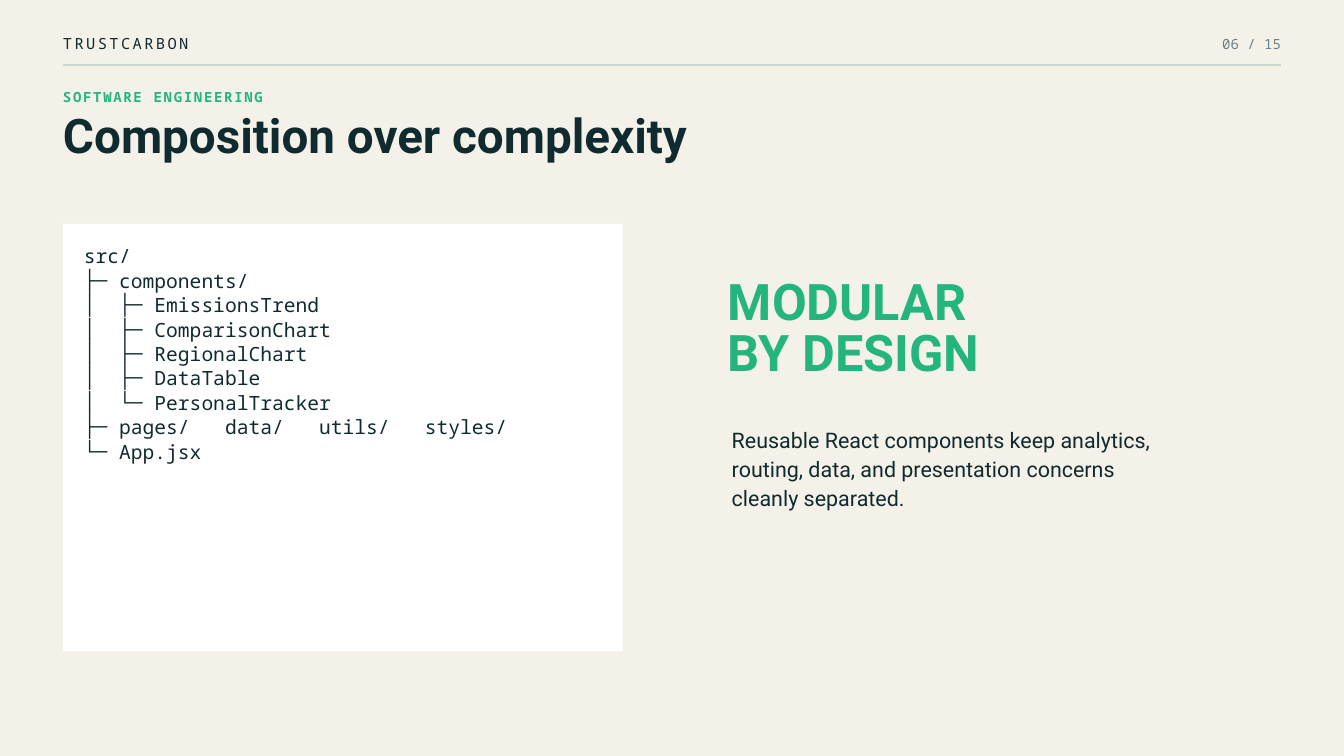
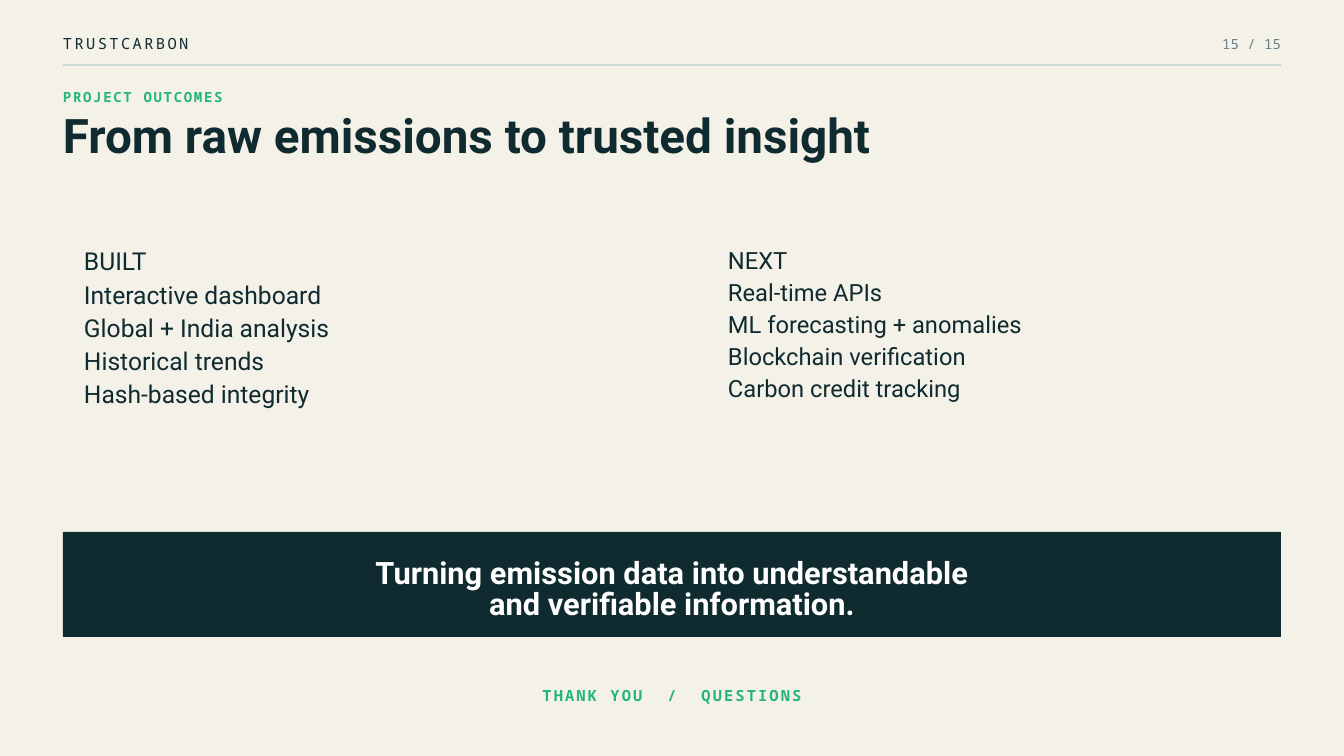
import pptx
import pptx.dml.color
import pptx.enum.shapes
import pptx.enum.text
import pptx.oxml.ns
import pptx.util
from lxml import etree

Pt = pptx.util.Pt
ALIGN = pptx.enum.text.PP_ALIGN

INK = "102B30"
GREEN = "24B47E"
GREY = "688087"
RULE = "CBD7D2"
PAPER = "F4F1E8"
WHITE = "FFFFFF"
SANS = "Roboto"
MONO = "Noto Sans Mono"

MARGIN = 67.5
CONTENT_WIDTH = 1305
LEFT_COLUMN = 90
RIGHT_COLUMN = 780
PAGE_COUNT = 15

SOURCE_TREE = [
    "src/",
    "├─ components/",
    "│  ├─ EmissionsTrend",
    "│  ├─ ComparisonChart",
    "│  ├─ RegionalChart",
    "│  ├─ DataTable",
    "│  └─ PersonalTracker",
    "├─ pages/   data/   utils/   styles/",
    "└─ App.jsx",
]
BUILT = [
    "BUILT",
    "Interactive dashboard",
    "Global + India analysis",
    "Historical trends",
    "Hash-based integrity",
]
NEXT = [
    "NEXT",
    "Real-time APIs",
    "ML forecasting + anomalies",
    "Blockchain verification",
    "Carbon credit tracking",
]


def color(value):
    return pptx.dml.color.RGBColor.from_string(value)


def write_text(box, lines, size, leading, font=SANS, ink=INK, bold=False,
               align=ALIGN.LEFT, tracking=0):
    frame = box.text_frame
    frame.word_wrap = True
    frame.auto_size = pptx.enum.text.MSO_AUTO_SIZE.NONE
    frame.vertical_anchor = pptx.enum.text.MSO_ANCHOR.TOP
    frame.margin_left = frame.margin_right = 0
    frame.margin_top = frame.margin_bottom = 0
    for index, line in enumerate(lines):
        para = frame.add_paragraph() if index else frame.paragraphs[0]
        para.alignment = align
        para.line_spacing = Pt(leading)
        para.space_before = Pt(0)
        pieces = [(line, tracking)] if isinstance(line, str) else line
        for text, spacing in pieces:
            span = para.add_run()
            span.text = text
            span.font.name = font
            span.font.size = Pt(size)
            span.font.bold = bold
            span.font.color.rgb = color(ink)
            if spacing:
                span.font._element.set("spc", str(round(spacing * 100)))


def add_text(page, left, top, width, height, lines, **style):
    box = page.shapes.add_textbox(Pt(left), Pt(top), Pt(width), Pt(height))
    write_text(box, lines, **style)


def add_panel(page, left, top, width, height, fill):
    panel = page.shapes.add_shape(
        pptx.enum.shapes.MSO_SHAPE.RECTANGLE,
        Pt(left), Pt(top), Pt(width), Pt(height))
    panel.shadow.inherit = False
    panel.fill.solid()
    panel.fill.fore_color.rgb = color(fill)
    panel.line.fill.background()


def add_rule(page, top):
    rule = page.shapes.add_connector(
        pptx.enum.shapes.MSO_CONNECTOR.STRAIGHT,
        Pt(MARGIN), Pt(top), Pt(MARGIN + CONTENT_WIDTH), Pt(top))
    rule.line.color.rgb = color(RULE)
    rule.line.width = Pt(1.5)
    etree.SubElement(rule._element.spPr, pptx.oxml.ns.qn("a:effectLst"))


def add_page(deck, number, section, heading):
    page = deck.slides.add_slide(deck.slide_layouts[5])
    add_text(page, MARGIN, 35.5, 225, 20.5, ["TRUSTCARBON"],
             size=16.5, leading=20.6, font=MONO, tracking=2.6)
    add_text(page, MARGIN + CONTENT_WIDTH - 135, 37.5, 135, 18.5,
             [f"{number:02} / {PAGE_COUNT}"],
             size=15, leading=18.8, font=MONO, ink=GREY, align=ALIGN.RIGHT)
    add_rule(page, 69.75)
    add_text(page, MARGIN, 94.5, 487.5, 18.5, [section],
             size=15, leading=18.8, font=MONO, ink=GREEN, bold=True, tracking=1.8)
    title = page.shapes.title
    title.left, title.top = Pt(MARGIN), Pt(123)
    title.width, title.height = Pt(1125), Pt(62.5)
    write_text(title, [heading], size=51, leading=52, bold=True)
    return page


def build_composition(deck):
    page = add_page(deck, 6, "SOFTWARE ENGINEERING", "Composition over complexity")
    add_panel(page, MARGIN, 240, 600, 457.5, WHITE)
    add_text(page, LEFT_COLUMN, 260.5, 540, 237, SOURCE_TREE,
             size=21, leading=26.2, font=MONO)
    add_text(page, RIGHT_COLUMN, 299, 487.5, 121, ["MODULAR", "BY DESIGN"],
             size=54, leading=55.1, ink=GREEN, bold=True)
    add_text(page, RIGHT_COLUMN + 4, 454.5, 487.5, 91.5,
             ["Reusable React components keep analytics, routing, data, "
              "and presentation concerns cleanly separated."],
             size=23, leading=31.1)


def build_outcomes(deck):
    page = add_page(deck, 15, "PROJECT OUTCOMES", "From raw emissions to trusted insight")
    add_text(page, LEFT_COLUMN, 260, 612, 173, BUILT, size=26.4, leading=35.6)
    add_text(page, RIGHT_COLUMN, 259, 626.5, 168, NEXT, size=25.4, leading=34.3)
    add_panel(page, MARGIN, 570, CONTENT_WIDTH, 112.5, INK)
    add_text(page, 127.5, 599, 1185, 73,
             ["Turning emission data into understandable", "and verifiable information."],
             size=33, leading=33.7, ink=WHITE, bold=True, align=ALIGN.CENTER)
    tracking, wide_gap = 2.3, 14.5
    closing = [("THANK YOU", tracking), (" ", wide_gap), ("/", tracking),
               (" ", wide_gap), ("QUESTIONS", tracking)]
    add_text(page, 487.5, 734.5, 465, 20.5, [closing],
             size=16.5, leading=20.6, font=MONO, ink=GREEN, bold=True,
             align=ALIGN.CENTER)


def main():
    deck = pptx.Presentation()
    deck.slide_width, deck.slide_height = Pt(1440), Pt(810)
    background = deck.slide_master.background.fill
    background.solid()
    background.fore_color.rgb = color(PAPER)
    build_composition(deck)
    build_outcomes(deck)
    deck.save("out.pptx")


if __name__ == "__main__":
    main()
